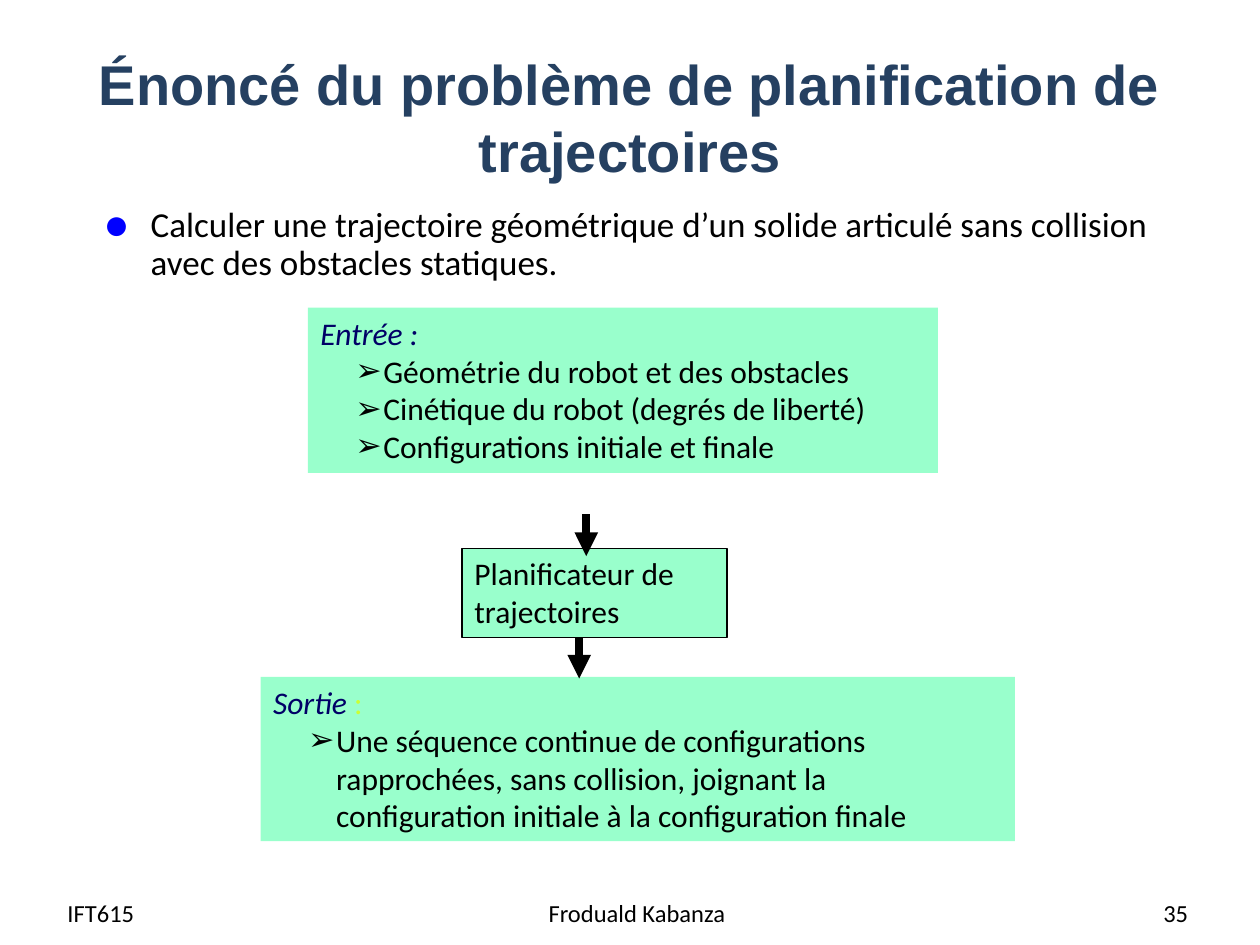
from lxml import etree
from pptx import Presentation
from pptx.dml.color import RGBColor
from pptx.enum.shapes import MSO_CONNECTOR, MSO_SHAPE
from pptx.enum.text import MSO_ANCHOR, MSO_AUTO_SIZE, PP_ALIGN
from pptx.oxml.ns import qn
from pptx.util import Pt

RECTANGLE = MSO_SHAPE.RECTANGLE
STRAIGHT = MSO_CONNECTOR.STRAIGHT
TOP, MIDDLE = MSO_ANCHOR.TOP, MSO_ANCHOR.MIDDLE
NO_FIT, GROW = MSO_AUTO_SIZE.NONE, MSO_AUTO_SIZE.SHAPE_TO_FIT_TEXT
LEFT, CENTER, RIGHT = PP_ALIGN.LEFT, PP_ALIGN.CENTER, PP_ALIGN.RIGHT

BLACK = RGBColor(0x00, 0x00, 0x00)
SLATE = RGBColor(0x25, 0x40, 0x61)
NAVY = RGBColor(0x00, 0x00, 0x66)
BLUE = RGBColor(0x00, 0x00, 0xFF)
MINT = RGBColor(0x99, 0xFF, 0xCC)
LIME = RGBColor(0xCC, 0xFF, 0x33)


def add_span(para, text, size, color=BLACK, italic=False, font="Calibri", bold=False):
    """Append one formatted run to a paragraph."""
    span = para.add_run()
    span.text = text
    span.font.name = font
    span.font.size = Pt(size)
    span.font.color.rgb = color
    span.font.italic = italic
    span.font.bold = bold


def set_bullet(para, symbol, margin, hanging, color=None, percent=100):
    """Give a paragraph a hanging bullet."""
    properties = para._p.get_or_add_pPr()
    properties.set("marL", str(Pt(margin)))
    properties.set("indent", str(-Pt(hanging)))
    if color is not None:
        holder = etree.SubElement(properties, qn("a:buClr"))
        etree.SubElement(holder, qn("a:srgbClr"), val=str(color))
    etree.SubElement(properties, qn("a:buSzPct"), val=str(percent * 1000))
    etree.SubElement(properties, qn("a:buFont"), typeface="Arial")
    etree.SubElement(properties, qn("a:buChar"), char=symbol)


def place_title(page, left, top, width, height, text):
    """Move the title placeholder into its box and fill it."""
    title = page.shapes.title
    title.left, title.top, title.width, title.height = map(Pt, (left, top, width, height))
    frame = title.text_frame
    frame.word_wrap = True
    frame.auto_size = NO_FIT
    frame.vertical_anchor = MIDDLE
    para = frame.paragraphs[0]
    para.alignment = CENTER
    add_span(para, text, 32, SLATE, font="Arial", bold=True)


def add_text(page, left, top, width, height, text, size, align=LEFT, anchor=MIDDLE):
    """Add a wrapping text box and return its paragraph."""
    box = page.shapes.add_textbox(Pt(left), Pt(top), Pt(width), Pt(height))
    frame = box.text_frame
    frame.word_wrap = True
    frame.vertical_anchor = anchor
    para = frame.paragraphs[0]
    para.alignment = align
    add_span(para, text, size)
    return para


def add_statement(page, left, top, width, height, text):
    """Add the bulleted statement of the problem."""
    para = add_text(page, left, top, width, height, text, 20, anchor=TOP)
    set_bullet(para, "●", 27, 27, BLUE, 125)
    para.line_spacing = 0.9


def add_block(page, left, top, width, height, heading, items=(), outlined=False):
    """Add a mint block with heading runs and arrow-bulleted items."""
    block = page.shapes.add_shape(RECTANGLE, Pt(left), Pt(top), Pt(width), Pt(height))
    block.shadow.inherit = False
    block.fill.solid()
    block.fill.fore_color.rgb = MINT
    if outlined:
        block.line.color.rgb = BLACK
        block.line.width = Pt(0.75)
    else:
        block.line.fill.background()
    frame = block.text_frame
    frame.word_wrap = True
    frame.auto_size = GROW
    frame.vertical_anchor = TOP
    para = frame.paragraphs[0]
    para.alignment = LEFT
    for text, color, italic in heading:
        add_span(para, text, 18, color, italic)
    for item in items:
        para = frame.add_paragraph()
        para.level = 1
        para.alignment = LEFT
        set_bullet(para, "➢", 36, 16)
        add_span(para, item, 18)


def add_arrow(page, x, top, bottom):
    """Add a thick arrow pointing down."""
    arrow = page.shapes.add_connector(STRAIGHT, Pt(x), Pt(top), Pt(x), Pt(bottom))
    arrow.line.color.rgb = BLACK
    arrow.line.width = Pt(4.5)
    etree.SubElement(arrow.line._get_or_add_ln(), qn("a:tailEnd"), type="triangle")
    etree.SubElement(arrow._element.spPr, qn("a:effectLst"))


def add_flow(page, left, top):
    """Add the flow from input through planner to output."""
    add_block(page, left + 115, top + 137.5, 151.5, 51,
              [("Planificateur de trajectoires", BLACK, False)], outlined=True)
    add_block(page, left + 27, top, 360, 94.5, [("Entrée :", NAVY, True)],
              ["Géométrie du robot et des obstacles",
               "Cinétique du robot (degrés de liberté)",
               "Configurations initiale et finale"])
    add_block(page, left, top + 211, 431, 94,
              [("Sortie", NAVY, True), (" :", LIME, False)],
              ["Une séquence continue de configurations rapprochées, sans collision, "
               "joignant la configuration initiale à la configuration finale"])
    add_arrow(page, left + 186, top + 118, top + 142)
    add_arrow(page, left + 182, top + 188.5, top + 212)


def add_footer(page, top, height):
    """Add the course, author and page number."""
    for left, width, text, align in (
        (31.5, 139, "IFT615", LEFT),
        (518.5, 167.5, "35", RIGHT),
        (250, 228, "Froduald Kabanza", CENTER),
    ):
        add_text(page, left, top, width, height, text, 14, align)


def main():
    """Build and save the slide."""
    deck = Presentation()
    deck.slide_width, deck.slide_height = Pt(720), Pt(540)
    page = deck.slides.add_slide(deck.slide_layouts[5])
    place_title(page, 36, 21.5, 648, 90,
                "Énoncé du problème de planification de trajectoires")
    add_statement(page, 52, 115, 647, 368,
                  "Calculer une trajectoire géométrique d’un solide articulé "
                  "sans collision avec des obstacles statiques.")
    add_flow(page, 149, 175.75)
    add_footer(page, 507, 29)
    deck.save("out.pptx")


if __name__ == "__main__":
    main()
